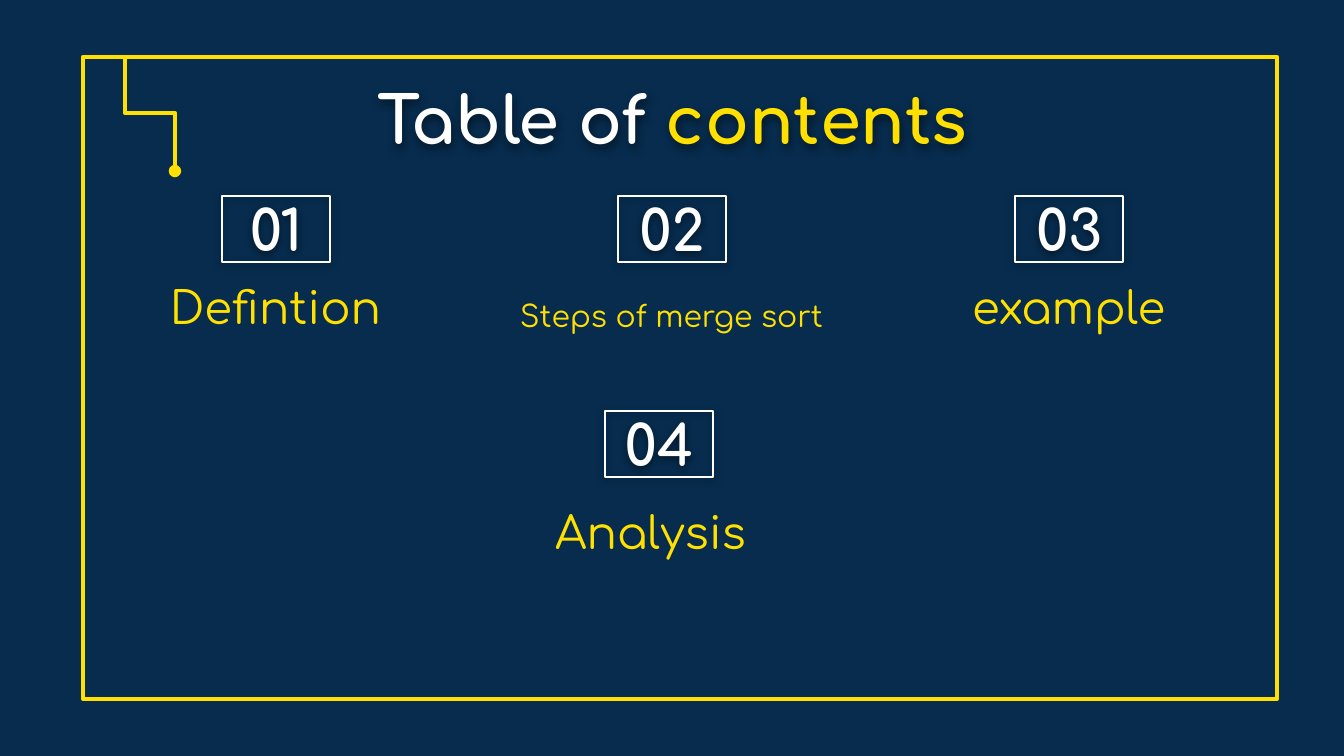
from lxml import etree
from pptx import Presentation
from pptx.dml.color import RGBColor
from pptx.enum.shapes import MSO_CONNECTOR as CONN, MSO_SHAPE as SHAPE
from pptx.enum.text import MSO_ANCHOR as ANCHOR, MSO_AUTO_SIZE as AUTO, PP_ALIGN as ALIGN
from pptx.oxml.ns import qn
from pptx.util import Inches, Pt

PX = 914400 / 134.4
NAVY, YELLOW, WHITE = "072C4E", "FFE000", "FFFFFF"
FONT = "Comfortaa"
ENTRY_W, LABEL_H = 339, 71
NUMBER_W, NUMBER_H = 108, 66


def px(*values):
    return [round(v * PX) for v in values]


def rgb(color):
    return RGBColor.from_string(color)


def child(parent, tag, **attrs):
    return etree.SubElement(parent, qn(tag), {k: str(v) for k, v in attrs.items()})


def add_shadow(sp):
    sp.shadow.inherit = False
    effects = sp.element.spPr.find(qn("a:effectLst"))
    outer = child(effects, "a:outerShdw", blurRad=Pt(4.5), dist=Pt(1.5),
                  dir=90 * 60000, algn="bl", rotWithShape=0)
    child(child(outer, "a:srgbClr", val="000000"), "a:alpha", val=50000)


def set_line(sp, color, width):
    sp.line.color.rgb = rgb(color)
    sp.line.width = Pt(width)


def write(sp, *runs, size, bold=False, anchor=ANCHOR.MIDDLE, spacing=1.0):
    tf = sp.text_frame
    tf.word_wrap = True
    tf.auto_size = AUTO.NONE
    tf.vertical_anchor = anchor
    tf.margin_left = tf.margin_right = tf.margin_top = tf.margin_bottom = Inches(0.1)
    p = tf.paragraphs[0]
    p.alignment = ALIGN.CENTER
    p.line_spacing = spacing
    p.space_before = Pt(0)
    for text, color in runs:
        r = p.add_run()
        r.text = text
        r.font.name = FONT
        r.font.size = Pt(size)
        r.font.bold = bold
        r.font.color.rgb = rgb(color)


def add_frame(s, x, y, w, h):
    sp = s.shapes.add_shape(SHAPE.RECTANGLE, *px(x, y, w, h))
    sp.shadow.inherit = False
    sp.fill.solid()
    sp.fill.fore_color.rgb = rgb(NAVY)
    child(sp.element.spPr.find(qn("a:solidFill"))[0], "a:alpha", val=91000)
    set_line(sp, YELLOW, 2.25)
    s.shapes.title.element.addprevious(sp.element)


def add_title(s, x, y, w, h):
    sp = s.shapes.title
    sp.left, sp.top, sp.width, sp.height = px(x, y, w, h)
    write(sp, ("Table of ", WHITE), ("contents", YELLOW), size=35, bold=True, anchor=ANCHOR.TOP)
    add_shadow(sp)


def add_entry(s, x, y, number, label, size=24, indent=116, drop=80):
    sp = s.shapes.add_shape(SHAPE.RECTANGLE, *px(x + indent, y, NUMBER_W, NUMBER_H))
    sp.fill.background()
    set_line(sp, WHITE, 0.75)
    add_shadow(sp)
    write(sp, (number, WHITE), size=30, bold=True)
    tb = s.shapes.add_textbox(*px(x, y + drop, ENTRY_W, LABEL_H))
    write(tb, (label, YELLOW), size=size, anchor=ANCHOR.BOTTOM, spacing=1.15)


def add_circuit(s, x, y, w, h):
    cx, cy = x + w / 2, y + h / 2
    line = s.shapes.add_connector(
        CONN.ELBOW, *px(cx + h / 2, cy - w / 2, cx - h / 2, cy + w / 2))
    line.element.spPr.find(qn("a:xfrm")).set("rot", str(90 * 60000))
    set_line(line, YELLOW, 2.25)
    child(line.element.spPr.find(qn("a:ln")), "a:headEnd", type="oval")
    child(line.element.spPr, "a:effectLst")


def main():
    prs = Presentation()
    prs.slide_width, prs.slide_height = px(1344, 756)
    s = prs.slides.add_slide(prs.slide_layouts[5])
    s.background.fill.solid()
    s.background.fill.fore_color.rgb = rgb(NAVY)

    add_frame(s, 83, 57, 1194, 642)
    add_title(s, 106, 66, 1133, 85)
    topics = [("Defintion", 24), ("Steps of merge sort", 16), ("example", 24)]
    for i, (label, size) in enumerate(topics):
        add_entry(s, 106 + i * 793 // 2, 196, f"{i + 1:02}", label, size)
    add_entry(s, 481, 411, "04", "Analysis", indent=124, drop=90)
    add_circuit(s, 125, 55, 50, 116)

    prs.save("out.pptx")


if __name__ == "__main__":
    main()
